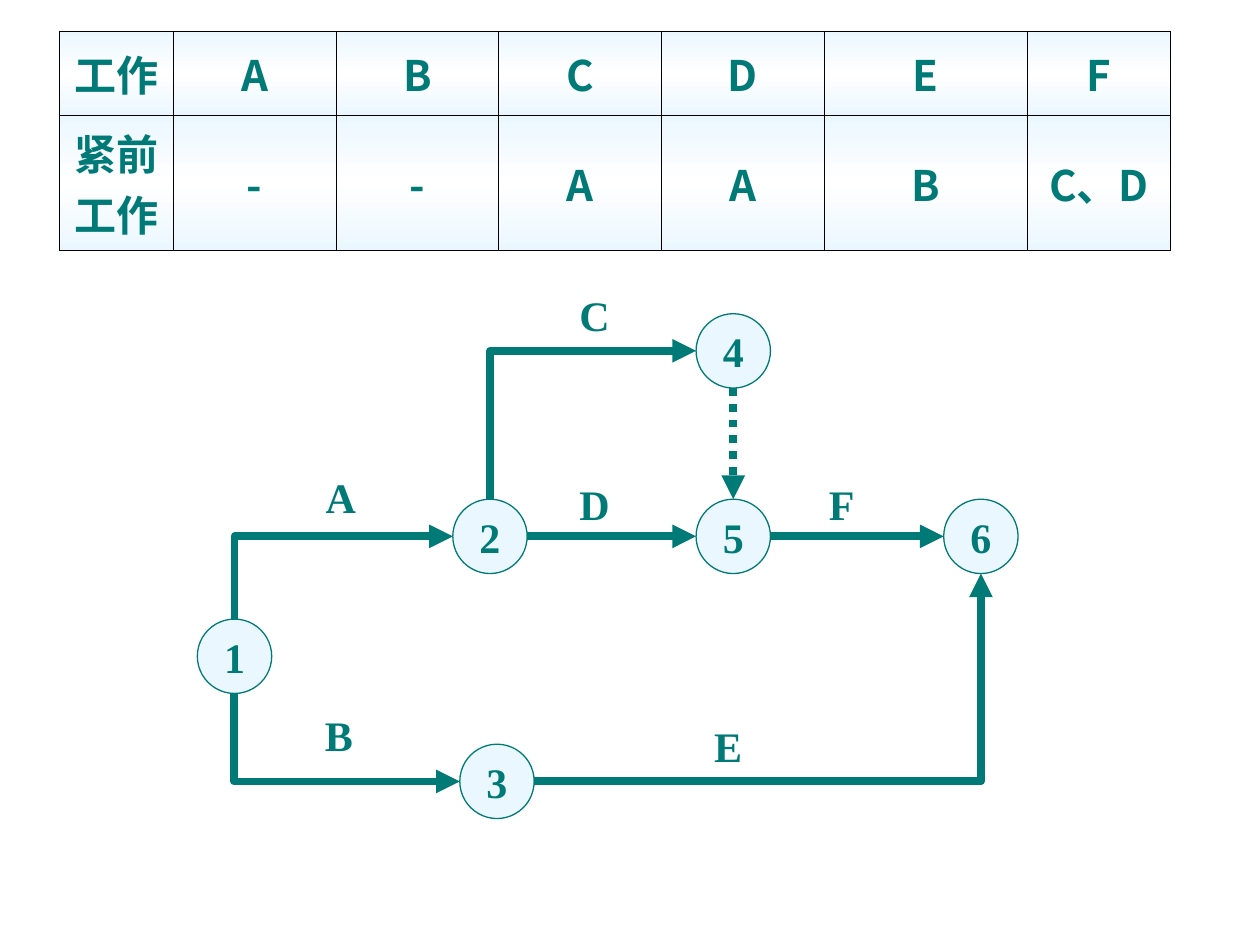
from lxml.etree import SubElement
from pptx import Presentation
from pptx.dml.color import RGBColor
from pptx.enum.dml import MSO_LINE
from pptx.enum.shapes import MSO_CONNECTOR as CONN, MSO_SHAPE as SHAPE
from pptx.enum.text import MSO_ANCHOR as ANCHOR, PP_ALIGN as ALIGN
from pptx.oxml import parse_xml
from pptx.oxml.ns import nsdecls, qn
from pptx.util import Pt

TEAL = RGBColor(0x00, 0x7A, 0x77)
PALE = RGBColor(0xEB, 0xF7, 0xFF)
WHITE = RGBColor(0xFF, 0xFF, 0xFF)
BLACK = RGBColor(0x00, 0x00, 0x00)
CJK_FONT, LATIN_FONT = "Noto Sans CJK SC", "Times New Roman"

COLUMNS = [65, 93, 93, 93, 93, 116, 82]
ROWS = [48, 65]
TASKS = [
    ["工作", "A", "B", "C", "D", "E", "F"],
    ["紧前\n工作", "-", "-", "A", "A", "B", "C、D"],
]

TOP, LEFT, BOTTOM, RIGHT = range(4)
NODE_SIZE = 42.5
NODE_CENTRES = {
    "1": (21, 213), "2": (167, 144.5), "3": (171, 284.5),
    "4": (306, 38.5), "5": (306, 144.5), "6": (447.5, 144.5),
}
ARROWS = [
    ("1", TOP, "2", LEFT), ("1", BOTTOM, "3", LEFT), ("2", TOP, "4", LEFT),
    ("2", RIGHT, "5", LEFT), ("3", RIGHT, "6", BOTTOM),
    ("5", RIGHT, "6", LEFT), ("4", BOTTOM, "5", TOP),
]
DUMMY_ARROW = ARROWS[-1]
LABELS = {
    "A": (66, 104), "B": (65.5, 240), "C": (211, 0),
    "D": (211, 108), "E": (288, 246), "F": (353.5, 108),
}


def style_paragraph(p, font_name):
    font = p.font
    font.name, font.size, font.bold = font_name, Pt(24), True
    font.color.rgb = TEAL


def style_cell(cell):
    """Thin black borders over a vertical pale-white-pale gradient."""
    tcPr = cell._tc.get_or_add_tcPr()
    for side in "LRTB":
        tcPr.append(parse_xml(
            f'<a:ln{side} {nsdecls("a")} w="{Pt(0.45)}"><a:solidFill>'
            f'<a:srgbClr val="{BLACK}"/></a:solidFill></a:ln{side}>'))
    stops = "".join(
        f'<a:gs pos="{pos}"><a:srgbClr val="{color}"/></a:gs>'
        for pos, color in ((0, PALE), (50000, WHITE), (100000, PALE)))
    tcPr.append(parse_xml(
        f'<a:gradFill {nsdecls("a")}><a:gsLst>{stops}</a:gsLst>'
        '<a:lin ang="5400000" scaled="1"/></a:gradFill>'))


def add_task_table(slide, left, top):
    table = slide.shapes.add_table(
        len(ROWS), len(COLUMNS), Pt(left), Pt(top),
        Pt(sum(COLUMNS)), Pt(sum(ROWS))).table
    for column, width in zip(table.columns, COLUMNS):
        column.width = Pt(width)
    for row, height, texts in zip(table.rows, ROWS, TASKS):
        row.height = Pt(height)
        for cell, text in zip(row.cells, texts):
            cell.text = text
            cell.vertical_anchor = ANCHOR.MIDDLE
            style_cell(cell)
            for p in cell.text_frame.paragraphs:
                p.alignment = ALIGN.CENTER
                pPr = p._p.get_or_add_pPr()
                pPr.set("marL", str(Pt(27)))
                pPr.set("indent", str(Pt(-27)))
                style_paragraph(p, CJK_FONT)
                SubElement(p.font._element, qn("a:ea"), typeface=CJK_FONT)


def add_node(slide, name, x, y):
    s = slide.shapes.add_shape(
        SHAPE.OVAL, Pt(x - NODE_SIZE / 2), Pt(y - NODE_SIZE / 2),
        Pt(NODE_SIZE), Pt(NODE_SIZE))
    s.shadow.inherit = False
    s.fill.solid()
    s.fill.fore_color.rgb = PALE
    s.line.color.rgb = TEAL
    s.line.width = Pt(0.75)
    tf = s.text_frame
    tf.text = name
    tf.word_wrap = False
    tf.vertical_anchor = ANCHOR.MIDDLE
    p = tf.paragraphs[0]
    p.alignment = ALIGN.CENTER
    style_paragraph(p, LATIN_FONT)
    return s


def turn_upright(line):
    """Rotate a one-bend connector so that it leaves its start vertically."""
    x1, y1, x2, y2 = line.begin_x, line.begin_y, line.end_x, line.end_y
    mid_x, mid_y = (x1 + x2) // 2, (y1 + y2) // 2
    half_w, half_h = (x2 - x1) // 2, (y2 - y1) // 2
    line.begin_x, line.begin_y = mid_x - half_h, mid_y + half_w
    line.end_x, line.end_y = mid_x + half_h, mid_y - half_w
    line._element.spPr.find(qn("a:xfrm")).set("rot", "5400000")


def add_arrow(slide, start, start_side, end, end_side, dotted):
    bent = (start_side - end_side) % 2 == 1
    line = slide.shapes.add_connector(
        CONN.ELBOW if bent else CONN.STRAIGHT, 0, 0, 0, 0)
    line.begin_connect(start, start_side)
    line.end_connect(end, end_side)
    # An ellipse has eight connection sites, so each side is every second one.
    for tag, side in (("a:stCxn", start_side), ("a:endCxn", end_side)):
        next(line._element.iter(qn(tag))).set("idx", str(2 * side))
    spPr = line._element.spPr
    if bent:
        spPr.find(qn("a:prstGeom")).set("prst", "bentConnector2")
        if start_side in (TOP, BOTTOM):
            turn_upright(line)
    line.line.color.rgb = TEAL
    line.line.width = Pt(4.5)
    if dotted:
        line.line.dash_style = MSO_LINE.ROUND_DOT
    SubElement(spPr.find(qn("a:ln")), qn("a:tailEnd"), type="triangle")
    SubElement(spPr, qn("a:effectLst"))


def add_label(slide, text, x, y):
    tf = slide.shapes.add_textbox(Pt(x), Pt(y), Pt(42.5), Pt(36)).text_frame
    tf.word_wrap = True
    tf.text = text
    style_paragraph(tf.paragraphs[0], LATIN_FONT)


def add_network(slide, left, top):
    nodes = {name: add_node(slide, name, left + x, top + y)
             for name, (x, y) in NODE_CENTRES.items()}
    for arrow in ARROWS:
        start, start_side, end, end_side = arrow
        add_arrow(slide, nodes[start], start_side, nodes[end], end_side,
                  dotted=arrow == DUMMY_ARROW)
    for text, (x, y) in LABELS.items():
        add_label(slide, text, left + x, top + y)


def main():
    prs = Presentation()
    prs.slide_width, prs.slide_height = Pt(720), Pt(540)
    slide = prs.slides.add_slide(prs.slide_layouts[6])
    add_task_table(slide, 34, 18)
    add_network(slide, 113, 162)
    prs.save("out.pptx")


if __name__ == "__main__":
    main()
